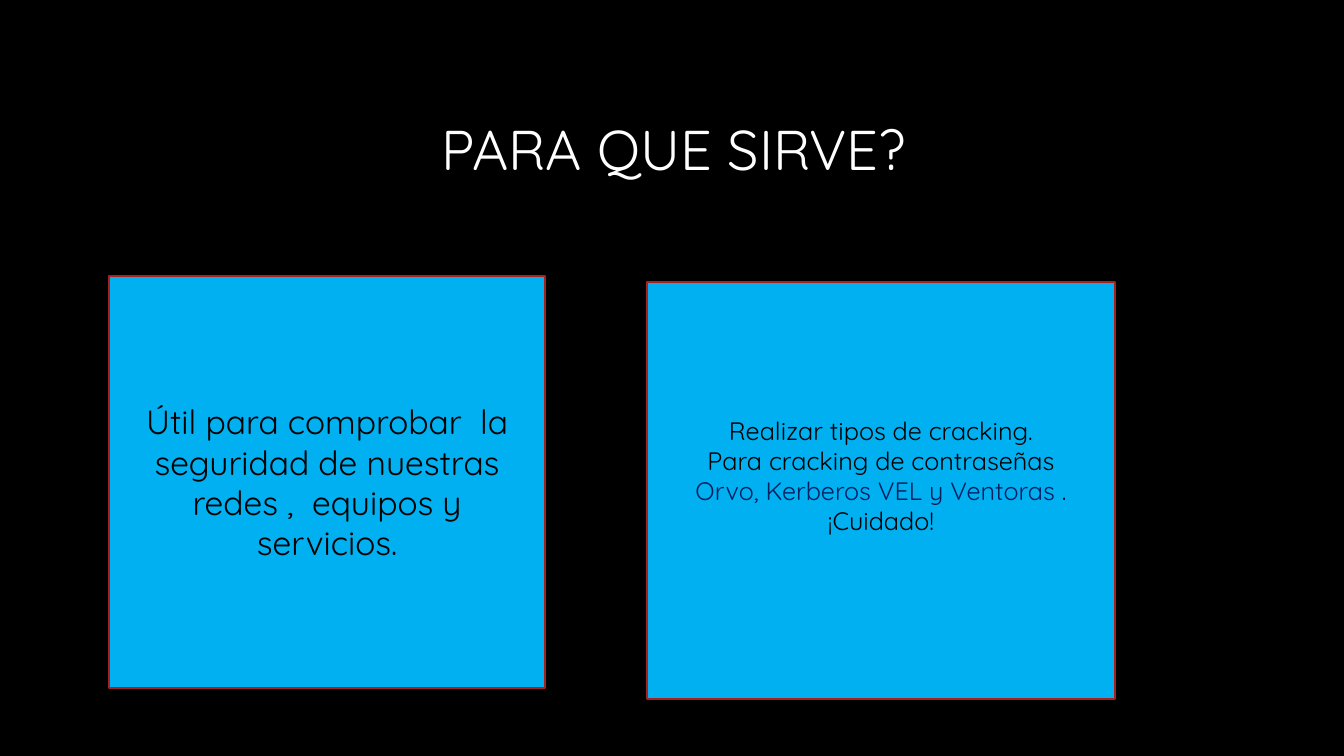
from pptx import Presentation
from pptx import util as u
from pptx.dml.color import RGBColor
from pptx.enum import shapes, text

FONT = "Quicksand"
COLORS = {
    "black": "000000",
    "white": "FFFFFF",
    "blue": "00B0F0",
    "red": "A5221E",
    "navy": "002060",
}
TITLE = {"text": "PARA QUE SIRVE?", "box": (-34, 81, 950, 143), "size": 40}
CARDS = [
    {
        "box": (109, 276, 436, 412),
        "size": 24,
        "bottom": 5,
        "lines": [
            [("Útil para comprobar  la seguridad de nuestras redes ,  equipos y servicios.", "black")],
        ],
    },
    {
        "box": (647, 282, 468, 417),
        "size": 18,
        "bottom": 35,
        "lines": [
            [("Realizar tipos de cracking.", "black")],
            [("Para cracking de contraseñas", "black")],
            [("Orvo, Kerberos VEL y Ventoras ", "navy"), (".", "black")],
            [("¡Cuidado!", "black")],
        ],
    },
]


def px(n):
    return u.Emu(round(n * 914400 / 100.8))


def rgb(name):
    return RGBColor.from_string(COLORS[name])


def style(r, size, color):
    r.font.name = FONT
    r.font.size = u.Pt(size)
    r.font.color.rgb = rgb(color)


def add_title(s):
    sp = s.shapes.title
    sp.left, sp.top, sp.width, sp.height = map(px, TITLE["box"])
    tf = sp.text_frame
    tf.text = TITLE["text"]
    tf.vertical_anchor = text.MSO_ANCHOR.MIDDLE
    p = tf.paragraphs[0]
    p.alignment = text.PP_ALIGN.RIGHT
    p.line_spacing = 0.9
    style(p.runs[0], TITLE["size"], "white")


def add_card(s, card):
    sp = s.shapes.add_shape(shapes.MSO_SHAPE.RECTANGLE, *map(px, card["box"]))
    sp.shadow.inherit = False
    sp.fill.solid()
    sp.fill.fore_color.rgb = rgb("blue")
    sp.line.color.rgb = rgb("red")
    sp.line.width = u.Pt(1)
    tf = sp.text_frame
    tf.word_wrap = True
    tf.vertical_anchor = text.MSO_ANCHOR.MIDDLE
    tf.margin_bottom = px(card["bottom"])
    for i, line in enumerate(card["lines"]):
        p = tf.add_paragraph() if i else tf.paragraphs[0]
        p.alignment = text.PP_ALIGN.CENTER
        for words, color in line:
            r = p.add_run()
            r.text = words
            style(r, card["size"], color)


def main():
    prs = Presentation()
    prs.slide_width, prs.slide_height = px(1344), px(756)
    s = prs.slides.add_slide(prs.slide_layouts[5])
    s.background.fill.solid()
    s.background.fill.fore_color.rgb = rgb("black")
    add_title(s)
    for card in CARDS:
        add_card(s, card)
    prs.save("out.pptx")


if __name__ == "__main__":
    main()
